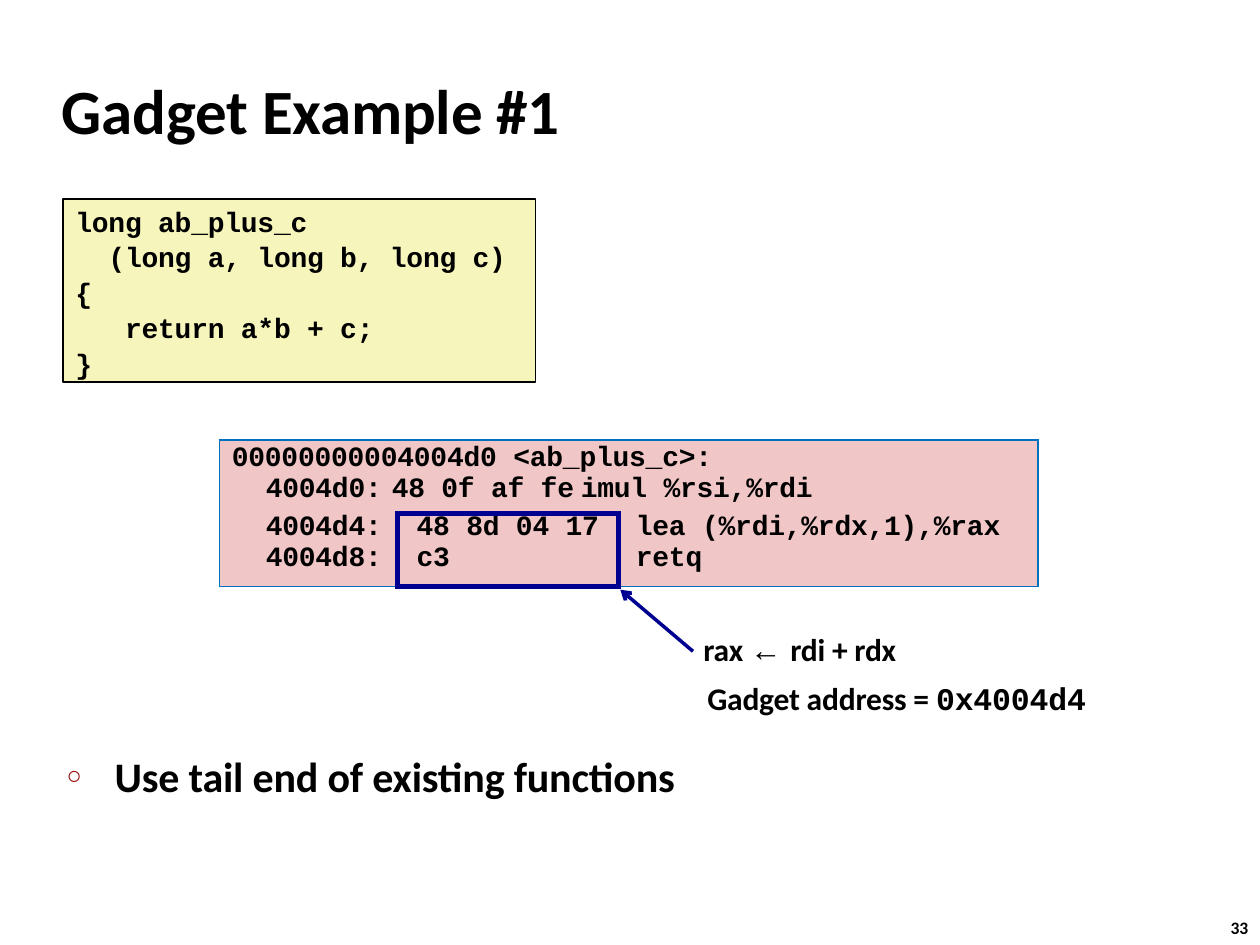
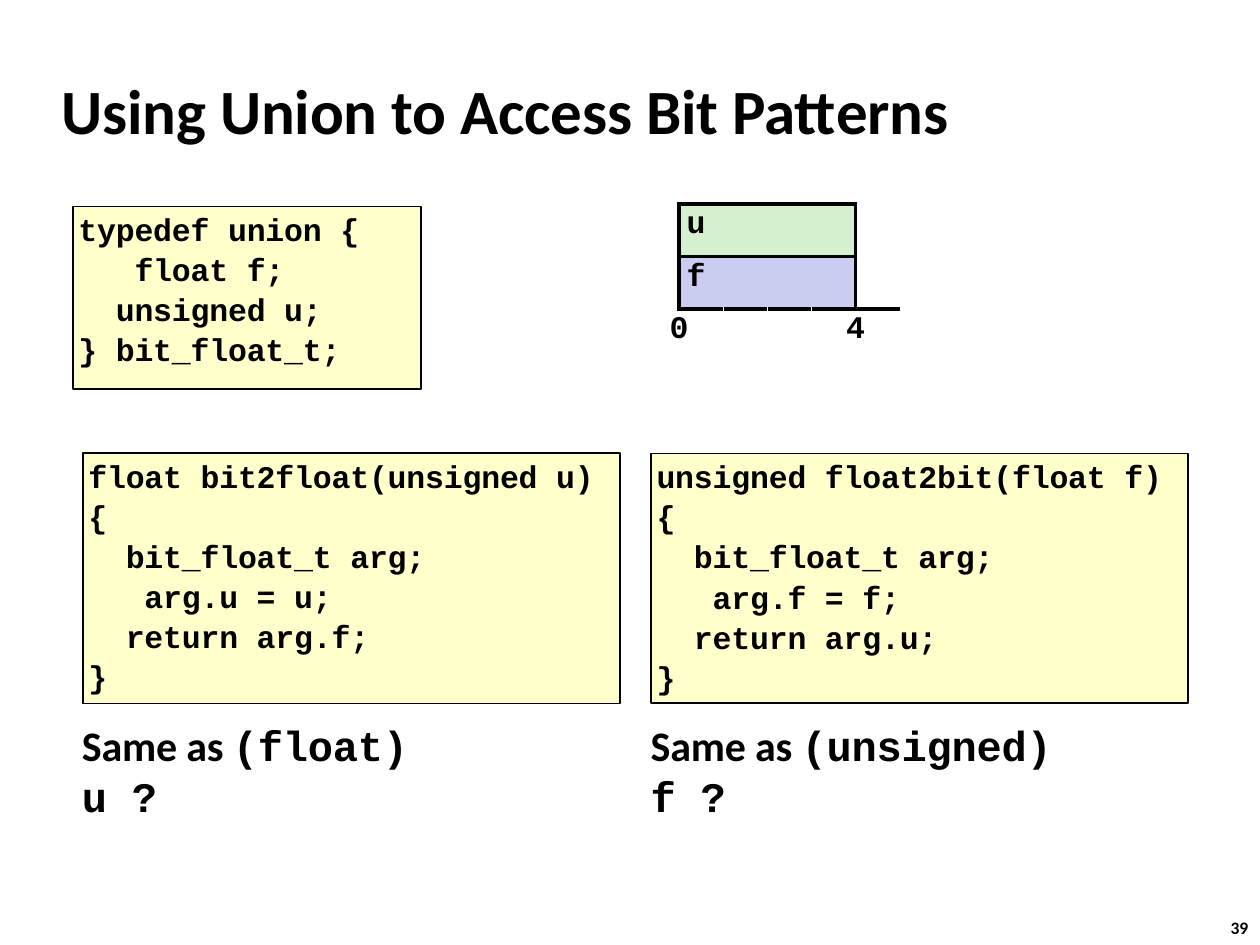
"""Build two slides on code gadgets and union bit patterns."""
import dataclasses
import typing

import lxml.etree
import pptx
import pptx.dml.color
import pptx.enum.shapes
import pptx.enum.text
import pptx.oxml
import pptx.oxml.ns
import pptx.presentation
import pptx.shapes.base
import pptx.shapes.connector
import pptx.slide
import pptx.table
import pptx.text.text
import pptx.util

Pt = pptx.util.Pt
RGB = pptx.dml.color.RGBColor

BLACK = RGB(0x00, 0x00, 0x00)
WHITE = RGB(0xFF, 0xFF, 0xFF)
SOURCE_YELLOW = RGB(0xF6, 0xF5, 0xBC)
UNION_YELLOW = RGB(0xFF, 0xFF, 0xCC)
LISTING_PINK = RGB(0xF0, 0xC6, 0xC6)
LISTING_BLUE = RGB(0x00, 0x6F, 0xC0)
GADGET_NAVY = RGB(0x00, 0x00, 0x90)
UNSIGNED_GREEN = RGB(0xD4, 0xF0, 0xCF)
FLOAT_LILAC = RGB(0xCA, 0xCD, 0xEF)
BULLET_RED = RGB(0x99, 0x00, 0x00)

PROSE = "Calibri"
CODE = "Courier New"
SYMBOL = "Arial"
NO_STYLE_NO_GRID = "{2D5ABB26-0587-4C30-8999-92F81FD0307C}"
TITLE_ONLY, TITLE_AND_BODY = 5, 1


class Area(typing.NamedTuple):
    left: float
    top: float
    width: float
    height: float

    def points(self) -> list[pptx.util.Length]:
        return [Pt(value) for value in self]


class Piece(typing.NamedTuple):
    text: str
    font: str = PROSE
    bold: bool = True


class Border(typing.NamedTuple):
    color: RGB
    width: float


@dataclasses.dataclass(frozen=True)
class CodeBox:
    area: Area
    lines: tuple[str, ...]
    fill: RGB = UNION_YELLOW
    size: float = 18
    inset_left: float = 3
    inset_top: float = 0.9


@dataclasses.dataclass(frozen=True)
class Question:
    area: Area
    cast: str


GADGET_SOURCE = CodeBox(
    Area(36, 113.8, 270, 104.4),
    ("long ab_plus_c", "  (long a, long b, long c)", "{", "   return a*b + c;", "}"),
    SOURCE_YELLOW, 16, 7.2, 1.7,
)
UNION_SOURCES = (
    CodeBox(Area(41.8, 118, 198.7, 104.4),
            ("typedef union {", "   float f;", "  unsigned u;", "} bit_float_t;")),
    CodeBox(Area(47.5, 259, 306.7, 143),
            ("float bit2float(unsigned u)", "{", "  bit_float_t arg;",
             "   arg.u = u;", "  return arg.f;", "}")),
    CodeBox(Area(372.2, 259.2, 306.7, 142.6),
            ("unsigned float2bit(float f)", "{", "  bit_float_t arg;",
             "   arg.f = f;", "  return arg.u;", "}")),
)
QUESTIONS = (
    Question(Area(46.1, 410.4, 235.4, 31), "(float) u ?"),
    Question(Area(371.1, 410.4, 277.9, 31), "(unsigned) f ?"),
)

THIN_BLUE = Border(LISTING_BLUE, 1)
THICK_NAVY = Border(GADGET_NAVY, 3)
BLACK_RULE = Border(BLACK, 2.25)
WHITE_RULE = Border(WHITE, 1)


def style_run(run: pptx.text.text._Run, font: str, size: float, bold: bool = True) -> None:
    run.font.name = font
    run.font.size = Pt(size)
    run.font.bold = bold
    run.font.color.rgb = BLACK
    run._r.get_or_add_rPr().set("spc", "-10")


def write_pieces(paragraph: pptx.text.text._Paragraph, size: float, *pieces: Piece) -> None:
    for piece in pieces:
        run = paragraph.add_run()
        run.text = piece.text
        style_run(run, piece.font, size, piece.bold)


def write_lines(frame: pptx.text.text.TextFrame, lines: typing.Sequence[str],
                size: float, font: str = CODE) -> None:
    frame.text = "\n".join(lines)
    for paragraph in frame.paragraphs:
        paragraph.alignment = pptx.enum.text.PP_ALIGN.LEFT
        for run in paragraph.runs:
            style_run(run, font, size)


def indent(paragraph: pptx.text.text._Paragraph, left: float, first: float = 0) -> None:
    properties = paragraph._p.get_or_add_pPr()
    properties.set("marL", str(Pt(left)))
    properties.set("indent", str(Pt(first)))


def add_mark(parent: lxml.etree._Element, tag: str, **attributes: str) -> lxml.etree._Element:
    element = lxml.etree.SubElement(parent, pptx.oxml.ns.qn(tag))
    for name, value in attributes.items():
        element.set(name, value)
    return element


def add_tab_stops(paragraph: pptx.text.text._Paragraph, *stops: float) -> None:
    tabs = add_mark(paragraph._p.get_or_add_pPr(), "a:tabLst")
    for stop in stops:
        add_mark(tabs, "a:tab", pos=str(Pt(stop)), algn="l")


def prepare_frame(shape: pptx.shapes.base.BaseShape, left: float = 0,
                  top: float = 0, right: float = 0) -> pptx.text.text.TextFrame:
    frame = shape.text_frame
    frame.word_wrap = True
    frame.auto_size = pptx.enum.text.MSO_AUTO_SIZE.NONE
    frame.vertical_anchor = pptx.enum.text.MSO_ANCHOR.TOP
    frame.margin_left, frame.margin_top = Pt(left), Pt(top)
    frame.margin_right, frame.margin_bottom = Pt(right), Pt(0)
    return frame


def place(shape: pptx.shapes.base.BaseShape, area: Area) -> None:
    shape.left, shape.top, shape.width, shape.height = area.points()


def add_page(deck: pptx.presentation.Presentation, layout: int, title: str,
             title_width: float, number: int) -> pptx.slide.Slide:
    slide = deck.slides.add_slide(deck.slide_layouts[layout])
    place(slide.shapes.title, Area(34.6, 39.6, title_width, 45.4))
    write_lines(prepare_frame(slide.shapes.title, 0.7, 1), [title], 36, PROSE)
    page_number = slide.shapes.add_textbox(*Area(701.3, 525.6, 14.4, 12.2).points())
    frame = prepare_frame(page_number, 2)
    write_lines(frame, [str(number)], 10, PROSE)
    frame.paragraphs[0].line_spacing = Pt(10.4)
    return slide


def add_code_box(slide: pptx.slide.Slide, box: CodeBox) -> None:
    shape = slide.shapes.add_shape(pptx.enum.shapes.MSO_SHAPE.RECTANGLE, *box.area.points())
    shape.shadow.inherit = False
    shape.fill.solid()
    shape.fill.fore_color.rgb = box.fill
    shape.line.color.rgb = BLACK
    shape.line.width = Pt(0.96)
    frame = prepare_frame(shape, box.inset_left, box.inset_top)
    write_lines(frame, box.lines, box.size)
    for paragraph in frame.paragraphs:
        paragraph.line_spacing = 1.06


def add_grid(slide: pptx.slide.Slide, left: float, top: float, widths: typing.Sequence[float],
             heights: typing.Sequence[float], inset_top: float) -> pptx.table.Table:
    area = Area(left, top, sum(widths), sum(heights))
    table = slide.shapes.add_table(len(heights), len(widths), *area.points()).table
    table.first_row = table.horz_banding = False
    table._tbl.tblPr.find(pptx.oxml.ns.qn("a:tableStyleId")).text = NO_STYLE_NO_GRID
    for column, width in zip(table.columns, widths):
        column.width = Pt(width)
    for row, height in zip(table.rows, heights):
        row.height = Pt(height)
    for cell in table.iter_cells():
        cell.margin_left = cell.margin_right = cell.margin_bottom = Pt(0)
        cell.margin_top = Pt(inset_top)
        cell.fill.background()
    return table


def set_borders(cell: pptx.table._Cell, **borders: Border) -> None:
    properties = cell._tc.get_or_add_tcPr()
    sides = [side for side in "LRTB" if side in borders]
    for position, side in enumerate(sides):
        color, width = borders[side]
        line = pptx.oxml.parse_xml(
            f'<a:ln{side} {pptx.oxml.ns.nsdecls("a")} w="{Pt(width)}">'
            f'<a:solidFill><a:srgbClr val="{color}"/></a:solidFill></a:ln{side}>')
        properties.insert(position, line)


def fill_cell(cell: pptx.table._Cell, color: RGB) -> None:
    cell.fill.solid()
    cell.fill.fore_color.rgb = color


def add_disassembly(slide: pptx.slide.Slide) -> None:
    table = add_grid(slide, 125.3, 251.3, (102, 126, 240), (42, 42), 0)
    for cell in table.iter_cells():
        fill_cell(cell, LISTING_PINK)
    heading = table.cell(0, 0)
    heading.merge(table.cell(0, 2))
    heading.margin_top = Pt(1.7)
    write_lines(heading.text_frame,
                ("00000000004004d0 <ab_plus_c>:", "4004d0:\t48 0f af fe\timul %rsi,%rdi"), 16)
    symbol, first_instruction = heading.text_frame.paragraphs
    indent(symbol, 7.2)
    indent(first_instruction, 26.6)
    add_tab_stops(first_instruction, 113, 238.3)

    columns = ((("4004d4:", "4004d8:"), 26.6), (("48 8d 04 17", "c3"), 10.8),
               (("lea (%rdi,%rdx,1),%rax", "retq"), 10.1))
    for column, (lines, left) in enumerate(columns):
        frame = table.cell(1, column).text_frame
        write_lines(frame, lines, 16)
        frame.paragraphs[0].line_spacing = Pt(17.3)
        for paragraph in frame.paragraphs:
            indent(paragraph, left)

    set_borders(heading, L=THIN_BLUE, T=THIN_BLUE, R=THIN_BLUE)
    set_borders(table.cell(0, 1), T=THIN_BLUE)
    set_borders(table.cell(0, 2), T=THIN_BLUE, R=THIN_BLUE)
    set_borders(table.cell(1, 0), L=THIN_BLUE, R=THICK_NAVY, B=THIN_BLUE)
    set_borders(table.cell(1, 1), **dict.fromkeys("LRTB", THICK_NAVY))
    set_borders(table.cell(1, 2), L=THICK_NAVY, R=THIN_BLUE, B=THIN_BLUE)


def add_gadget_arrow(slide: pptx.slide.Slide) -> None:
    arrow = slide.shapes.add_connector(
        pptx.enum.shapes.MSO_CONNECTOR.STRAIGHT, Pt(396), Pt(372.2), Pt(354.5), Pt(337))
    arrow.line.color.rgb = GADGET_NAVY
    arrow.line.width = Pt(2)
    add_mark(arrow.line._get_or_add_ln(), "a:tailEnd", type="arrow")
    add_mark(arrow._element.spPr, "a:effectLst")


def add_gadget_notes(slide: pptx.slide.Slide) -> None:
    notes = slide.shapes.add_textbox(*Area(402, 360, 230, 52).points())
    frame = prepare_frame(notes)
    write_pieces(frame.paragraphs[0], 18, Piece("rax "), Piece("← ", SYMBOL, False),
                 Piece("rdi + rdx"))
    address = frame.add_paragraph()
    address.space_before = Pt(6.5)
    indent(address, 2.2)
    write_pieces(address, 18, Piece("Gadget address = "), Piece("0x4004d4", CODE))


def add_takeaway(slide: pptx.slide.Slide) -> None:
    body = slide.placeholders[1]
    place(body, Area(37.4, 429, 586.8, 32))
    frame = prepare_frame(body)
    write_lines(frame, ["Use tail end of existing functions"], 24, PROSE)
    takeaway = frame.paragraphs[0]
    takeaway.space_before = Pt(0)
    indent(takeaway, 28.1, -27.4)
    properties = takeaway._p.get_or_add_pPr()
    add_mark(add_mark(properties, "a:buClr"), "a:srgbClr", val=str(BULLET_RED))
    add_mark(properties, "a:buSzPct", val="60000")
    add_mark(properties, "a:buChar", char="○")


def add_union_layout(slide: pptx.slide.Slide) -> None:
    table = add_grid(slide, 362.9, 116.6, (25.2,) * 6, (30,) * 3, 2)
    for side_column in (0, 5):
        table.cell(0, side_column).merge(table.cell(1, side_column))
    for row, (field, color) in enumerate((("u", UNSIGNED_GREEN), ("f", FLOAT_LILAC))):
        member = table.cell(row, 1)
        member.merge(table.cell(row, 4))
        fill_cell(member, color)
        write_lines(member.text_frame, [field], 18)
        indent(member.text_frame.paragraphs[0], 4.3)
        set_borders(member, **dict.fromkeys("LRTB", BLACK_RULE))
        for column in (2, 3):
            set_borders(table.cell(row, column), T=BLACK_RULE, B=BLACK_RULE)
        set_borders(table.cell(row, 4), R=BLACK_RULE, T=BLACK_RULE, B=BLACK_RULE)
    for column, offset in ((0, "0"), (4, "4")):
        byte = table.cell(2, column)
        byte.merge(table.cell(2, column + 1))
        write_lines(byte.text_frame, [offset], 18)
        byte.text_frame.paragraphs[0].alignment = pptx.enum.text.PP_ALIGN.CENTER
    set_borders(table.cell(2, 0), R=WHITE_RULE, B=WHITE_RULE)
    for column in (2, 3):
        set_borders(table.cell(2, column), L=WHITE_RULE, R=WHITE_RULE, T=BLACK_RULE, B=WHITE_RULE)
    set_borders(table.cell(2, 4), L=WHITE_RULE, T=BLACK_RULE, B=WHITE_RULE)
    set_borders(table.cell(2, 5), T=BLACK_RULE)


def add_question(slide: pptx.slide.Slide, question: Question) -> None:
    box = slide.shapes.add_textbox(*question.area.points())
    frame = prepare_frame(box, 0.7, 1, 36)
    write_pieces(frame.paragraphs[0], 24, Piece("Same as "), Piece(question.cast, CODE))


def main() -> None:
    deck = pptx.Presentation()
    deck.slide_width, deck.slide_height = Pt(720), Pt(540)

    gadget = add_page(deck, TITLE_AND_BODY, "Gadget Example #1", 290, 33)
    add_code_box(gadget, GADGET_SOURCE)
    add_disassembly(gadget)
    add_gadget_arrow(gadget)
    add_gadget_notes(gadget)
    add_takeaway(gadget)

    union = add_page(deck, TITLE_ONLY, "Using Union to Access Bit Patterns", 516, 39)
    for source in UNION_SOURCES:
        add_code_box(union, source)
    for question in QUESTIONS:
        add_question(union, question)
    add_union_layout(union)
    deck.save("out.pptx")


if __name__ == "__main__":
    main()
